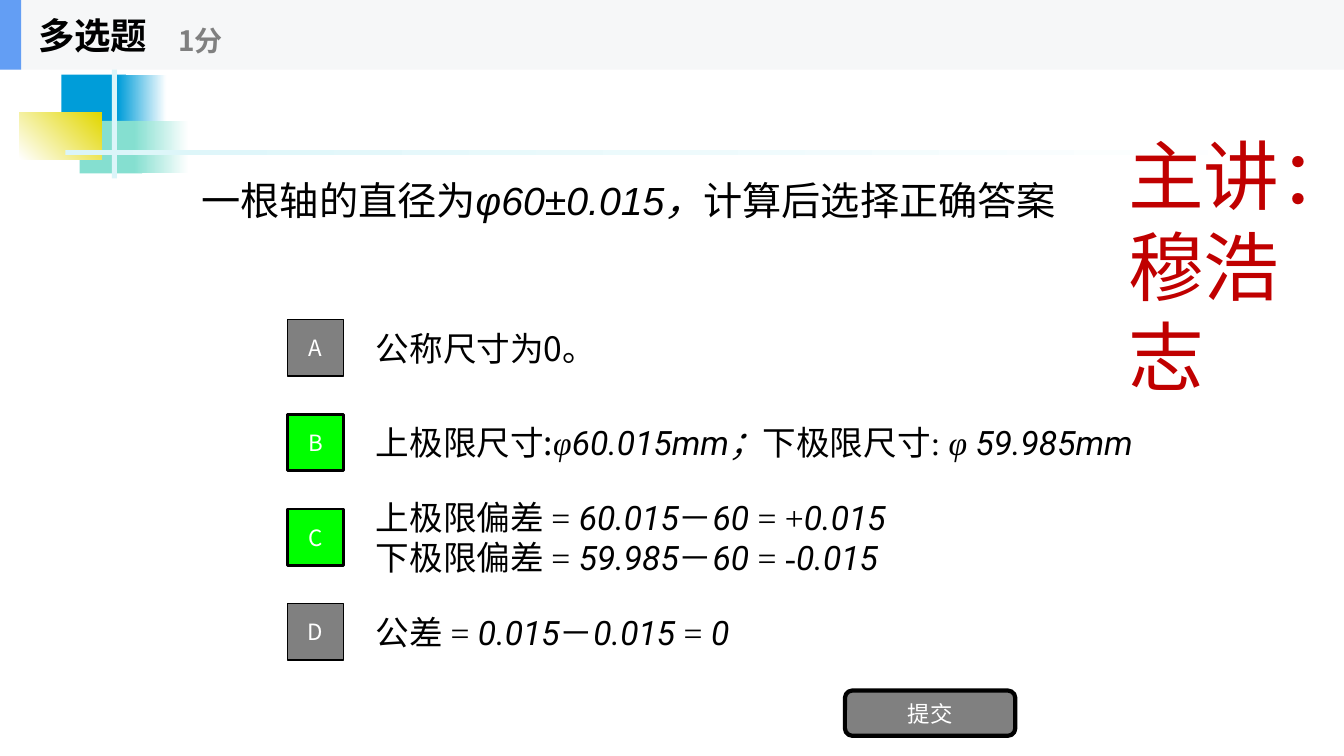
from dataclasses import dataclass

from pptx import Presentation
from pptx.dml.color import RGBColor
from pptx.enum.shapes import MSO_SHAPE
from pptx.enum.text import MSO_ANCHOR, PP_ALIGN
from pptx.util import Inches, Pt

RECTANGLE = MSO_SHAPE.RECTANGLE
ROUNDED = MSO_SHAPE.ROUNDED_RECTANGLE
TOP, MIDDLE = MSO_ANCHOR.TOP, MSO_ANCHOR.MIDDLE
LEFT, CENTER = PP_ALIGN.LEFT, PP_ALIGN.CENTER


@dataclass(frozen=True)
class Theme:
    """Colours, fonts and type sizes of the slide."""
    black: str = "000000"
    white: str = "FFFFFF"
    gray: str = "808080"
    correct: str = "00FF00"
    lecturer: str = "C00000"
    band: str = "F6F7F8"
    accent: str = "639EF4"
    blue: str = "009DD9"
    teal: str = "85DFD0"
    yellow: str = "E2D700"
    pale: str = "DBF5F9"
    sans: str = "Noto Sans CJK SC"
    heading: str = "Arial"
    serif: str = "Times New Roman"
    number: str = "Roboto"
    lecturer_size: int = 54
    question_size: int = 28
    type_size: int = 26
    option_size: int = 24
    score_size: int = 20
    badge_size: int = 16


THEME = Theme()
SANS = (THEME.sans, False)
SERIF = (THEME.serif, False)
SERIF_ITALIC = (THEME.serif, True)
NUMBER = (THEME.number, True)

OPTIONS = [
    ("A", False, 4.57, [[("公称尺寸为0。", SANS)]]),
    ("B", True, 7.76, [[("上极限尺寸:", SANS), ("φ", SERIF_ITALIC), ("60.015mm；", NUMBER),
                        ("下极限尺寸: ", SERIF), ("φ ", SERIF_ITALIC), ("59.985mm", NUMBER)]]),
    ("C", True, 7, [
        [("上极限偏差 = ", SERIF), ("60.015", NUMBER), ("－", SERIF), ("60", NUMBER),
         (" = +", SERIF), ("0.015", NUMBER)],
        [("下极限偏差 = ", SERIF), ("59.985", NUMBER), ("－", SERIF), ("60", NUMBER),
         (" = -", SERIF), ("0.015", NUMBER)]]),
    ("D", False, 7, [[("公差 = ", SERIF), ("0.015", NUMBER), ("－", SERIF), ("0.015", NUMBER),
                      (" = ", SERIF), ("0", NUMBER)]]),
]


def style_font(font, size, color, name=None, bold=False):
    """Set size, colour, weight and optionally the typeface of a font."""
    font.size = Pt(size)
    font.color.rgb = RGBColor.from_string(color)
    font.bold = bold
    if name:
        font.name = name


def add_block(shapes, box, fill, line_width=0, kind=RECTANGLE):
    """Add a filled shape with an optional black outline."""
    block = shapes.add_shape(kind, *map(Inches, box))
    block.shadow.inherit = False
    block.fill.solid()
    block.fill.fore_color.rgb = RGBColor.from_string(fill)
    if line_width:
        block.line.color.rgb = RGBColor.from_string(THEME.black)
        block.line.width = Pt(line_width)
    else:
        block.line.fill.background()
    return block


def add_fade(shapes, box, start, end, angle=0):
    """Add a borderless rectangle that fades from one colour to another."""
    fade = add_block(shapes, box, start)
    fade.fill.gradient()
    fade.fill.gradient_angle = angle
    for stop, color, position in zip(fade.fill.gradient_stops, (start, end), (0, 1)):
        stop.color.rgb = RGBColor.from_string(color)
        stop.position = position


def write_lines(frame, lines, size, color):
    """Write paragraphs of spans, each with its own typeface and slant."""
    for index, line in enumerate(lines):
        para = frame.add_paragraph() if index else frame.paragraphs[0]
        para.alignment = LEFT
        style_font(para.font, size, color)
        for text, (name, italic) in line:
            span = para.add_run()
            span.text = text
            span.font.name = name
            span.font.italic = italic


def add_label(shapes, box, text, size, color, anchor=MIDDLE, bold=False):
    """Add a text box with one evenly formatted paragraph."""
    frame = shapes.add_textbox(*map(Inches, box)).text_frame
    frame.word_wrap = True
    frame.vertical_anchor = anchor
    para = frame.paragraphs[0]
    para.text = text
    style_font(para.font, size, color, THEME.sans, bold)


def add_button(shapes, box, text, fill, line_width, kind=RECTANGLE):
    """Add an outlined block with a centred white caption."""
    button = add_block(shapes, box, fill, line_width, kind)
    frame = button.text_frame
    frame.word_wrap = False
    frame.vertical_anchor = MIDDLE
    para = frame.paragraphs[0]
    para.text = text
    para.alignment = CENTER
    style_font(para.font, THEME.badge_size, THEME.white, THEME.sans)


def add_ornament(shapes, left, top):
    """Draw the coloured squares and the fading rule."""
    add_block(shapes, (left + 0.42, top + 0.12, 0.64, 0.52), THEME.blue)
    add_fade(shapes, (left + 0.98, top + 0.12, 0.48, 0.52), THEME.blue, THEME.white)
    add_block(shapes, (left + 0.6, top + 0.58, 0.62, 0.52), THEME.teal)
    add_fade(shapes, (left + 1.14, top + 0.58, 0.54, 0.52), THEME.teal, THEME.white)
    add_fade(shapes, (left, top + 0.5, 0.82, 0.46), THEME.white, THEME.yellow, 45)
    add_block(shapes, (left + 0.92, top, 0.05, 1.15), THEME.pale)
    add_fade(shapes, (left + 0.46, top + 0.87, 12, 0.05), THEME.pale, THEME.white)


def add_question(title, box):
    """Place and fill the title placeholder with the question."""
    title.left, title.top, title.width, title.height = map(Inches, box)
    frame = title.text_frame
    frame.word_wrap = True
    frame.vertical_anchor = MIDDLE
    plain, slanted = (THEME.heading, False), (THEME.heading, True)
    line = [("一根轴的直径为", plain), ("φ60±0.015，", slanted), ("计算后选择正确答案", plain)]
    write_lines(frame, [line], THEME.question_size, THEME.black)


def add_options(shapes, left, top, pitch=0.94, side=0.56, height=0.7):
    """Stack the answer options, each a lettered badge and its text."""
    for row, (letter, correct, width, lines) in enumerate(OPTIONS):
        y = top + row * pitch
        text_box = (left + 0.78, y + (side - height) / 2, width, height)
        frame = shapes.add_textbox(*map(Inches, text_box)).text_frame
        frame.word_wrap = True
        frame.vertical_anchor = MIDDLE
        write_lines(frame, lines, THEME.option_size, THEME.black)
        fill = THEME.correct if correct else THEME.gray
        add_button(shapes, (left, y, side, side), letter, fill, 2 if correct else 1)


def add_header(shapes, width, height):
    """Group the top band with the question type and its score."""
    header = shapes.add_group_shape().shapes
    add_block(header, (0, 0, width, height), THEME.band)
    add_block(header, (0, 0, 0.21, height), THEME.accent)
    add_label(header, (0.28, 0, 2.08, height), "多选题", THEME.type_size, THEME.black, bold=True)
    add_label(header, (1.67, 0.12, 2.5, 0.56), "1分", THEME.score_size, THEME.gray, bold=True)


def main():
    """Build and save the quiz slide."""
    deck = Presentation()
    deck.slide_width, deck.slide_height = Inches(13.33), Inches(7.5)
    page = deck.slides.add_slide(deck.slide_layouts[5])
    shapes = page.shapes
    add_ornament(shapes, 0.19, 0.62)
    add_label(shapes, (11.09, 1.23, 2.02, 3.7), "主讲：穆浩志",
              THEME.lecturer_size, THEME.lecturer, TOP)
    add_question(shapes.title, (1.9, 1.52, 8.97, 0.93))
    add_options(shapes, 2.85, 3.17)
    add_button(shapes, (8.38, 6.85, 1.69, 0.45), "提交", THEME.gray, 3, ROUNDED)
    add_header(shapes, 13.33, 0.69)
    deck.save("out.pptx")


if __name__ == "__main__":
    main()
